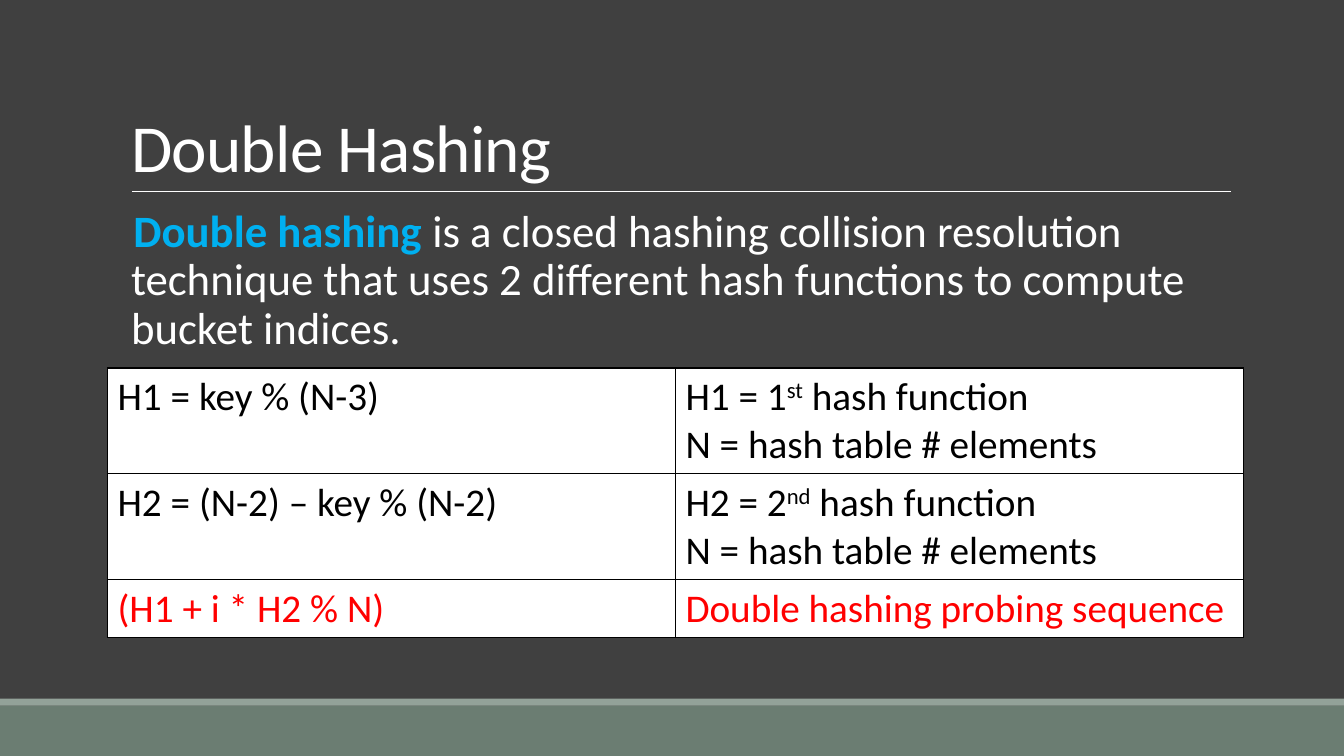
from dataclasses import dataclass

from lxml import etree
from pptx import Presentation
from pptx.dml.color import RGBColor
from pptx.enum.shapes import MSO_CONNECTOR, MSO_SHAPE
from pptx.enum.text import MSO_ANCHOR, MSO_AUTO_SIZE, PP_ALIGN
from pptx.oxml.ns import qn
from pptx.util import Pt

RECT = MSO_SHAPE.RECTANGLE
LINE = MSO_CONNECTOR.STRAIGHT
BOTTOM = MSO_ANCHOR.BOTTOM
LEFT = PP_ALIGN.LEFT
NO_FIT = MSO_AUTO_SIZE.NONE

# Content: a cell is a list of lines, a line is a list of (text, raised) pieces
TITLE = "Double Hashing"
TERM = "Double hashing "
MEANING = ("is a closed hashing collision resolution technique that uses "
           "2 different hash functions to compute bucket indices.")
SIZE_NOTE = [("N = hash table # elements", False)]


def hash_note(name, digit, suffix):
    first = [(f"{name} = {digit}", False), (suffix, True),
             (" hash function", False)]
    return [first, SIZE_NOTE]


ROWS = [
    ([[("H1 = key % (N-3)", False)]], hash_note("H1", 1, "st")),
    ([[("H2 = (N-2) – key % (N-2)", False)]], hash_note("H2", 2, "nd")),
    ([[("(H1 + i * H2 % N)", False)]],
     [[("Double hashing probing sequence", False)]]),
]


@dataclass(frozen=True)
class Theme:
    font: str = "Calibri"
    back: str = "404040"
    band: str = "6B7D72"
    strip: str = "93A299"
    light: str = "FFFFFF"
    dark: str = "000000"
    term: str = "00B0F0"
    alert: str = "FF0000"
    bullet: str = "B5AE53"
    title: int = 48
    body: int = 32
    cell: int = 28


THEME = Theme()

# Layout in points
WIDE, HIGH = 960, 540
EDGE, SPAN = 86.4, 792
BAND_TOP, STRIP_TOP = 504, 499
RULE_Y, RULE_X1, RULE_X2 = 136.8, 94.3, 879.1
GRID_X, GRID_Y, COL = 76.8, 262.8, 405.7
TALL, SHORT = 75.7, 41.4


def rgb(code):
    return RGBColor.from_string(code)


def style(run, size, color, bold=False):
    font = run.font
    font.name, font.size, font.bold = THEME.font, Pt(size), bold
    font.color.rgb = rgb(color)


def place(shape, x, y, w, h):
    shape.left, shape.top = Pt(x), Pt(y)
    shape.width, shape.height = Pt(w), Pt(h)


def add_band(slide, top, bottom, color):
    band = slide.shapes.add_shape(RECT, 0, Pt(top), Pt(WIDE), Pt(bottom - top))
    band.shadow.inherit = False
    band.fill.solid()
    band.fill.fore_color.rgb = rgb(color)
    band.line.fill.background()


def add_rule(slide):
    rule = slide.shapes.add_connector(
        LINE, Pt(RULE_X1), Pt(RULE_Y), Pt(RULE_X2), Pt(RULE_Y))
    rule.line.color.rgb = rgb(THEME.light)
    rule.line.width = Pt(0.5)
    etree.SubElement(rule._element.spPr, qn("a:effectLst"))


def fill_title(shape):
    place(shape, EDGE, 22.3, SPAN, 114.5)
    frame = shape.text_frame
    frame.text = TITLE
    frame.auto_size, frame.vertical_anchor = NO_FIT, BOTTOM
    para = frame.paragraphs[0]
    para.alignment, para.line_spacing = LEFT, 0.85
    run = para.runs[0]
    style(run, THEME.title, THEME.light)
    run._r.get_or_add_rPr().set("spc", "-50")


def fill_body(shape):
    place(shape, EDGE, 145.4, SPAN, 316.8)
    frame = shape.text_frame
    frame.auto_size = NO_FIT
    frame.margin_left = frame.margin_right = 0
    para = frame.paragraphs[0]
    para.line_spacing = 0.9
    para.space_before, para.space_after = Pt(12), Pt(2)
    for text, color, bold in ((TERM, THEME.term, True),
                              (MEANING, THEME.light, False)):
        run = para.add_run()
        run.text = text
        style(run, THEME.body, color, bold)
    # Blank bullet with a small hanging indent
    props = para._p.get_or_add_pPr()
    props.set("marL", str(Pt(7.2)))
    props.set("indent", str(Pt(-7.2)))
    tint = etree.SubElement(props, qn("a:buClr"))
    etree.SubElement(tint, qn("a:srgbClr"), val=THEME.bullet)
    etree.SubElement(props, qn("a:buChar"), char=" ")


def frame_cell(cell):
    props = cell._tc.get_or_add_tcPr()
    for side in ("lnL", "lnR", "lnT", "lnB"):
        edge = etree.SubElement(props, qn(f"a:{side}"), w=str(Pt(1)))
        paint = etree.SubElement(edge, qn("a:solidFill"))
        etree.SubElement(paint, qn("a:srgbClr"), val=THEME.dark)
    cell.fill.solid()
    cell.fill.fore_color.rgb = rgb(THEME.light)


def fill_cell(cell, lines, color):
    frame_cell(cell)
    frame = cell.text_frame
    for i, line in enumerate(lines):
        para = frame.add_paragraph() if i else frame.paragraphs[0]
        for text, raised in line:
            run = para.add_run()
            run.text = text
            style(run, THEME.cell, color)
            if raised:
                run._r.get_or_add_rPr().set("baseline", "30000")


def add_grid(slide):
    highs = [TALL if len(note) > 1 else SHORT for _, note in ROWS]
    grid = slide.shapes.add_table(
        len(ROWS), 2, Pt(GRID_X), Pt(GRID_Y), Pt(2 * COL), Pt(sum(highs))).table
    grid.first_row = grid.horz_banding = False
    for col in grid.columns:
        col.width = Pt(COL)
    for r, (row, high) in enumerate(zip(ROWS, highs)):
        grid.rows[r].height = Pt(high)
        color = THEME.alert if r == len(ROWS) - 1 else THEME.dark
        for c, lines in enumerate(row):
            fill_cell(grid.cell(r, c), lines, color)


def main():
    deck = Presentation()
    deck.slide_width, deck.slide_height = Pt(WIDE), Pt(HIGH)
    slide = deck.slides.add_slide(deck.slide_layouts[1])
    slide.background.fill.solid()
    slide.background.fill.fore_color.rgb = rgb(THEME.back)
    # Footer bands and title rule
    add_band(slide, BAND_TOP, HIGH, THEME.band)
    add_band(slide, STRIP_TOP, BAND_TOP, THEME.strip)
    add_rule(slide)
    # Text and table
    fill_title(slide.shapes.title)
    fill_body(slide.placeholders[1])
    add_grid(slide)
    deck.save("out.pptx")


if __name__ == "__main__":
    main()
